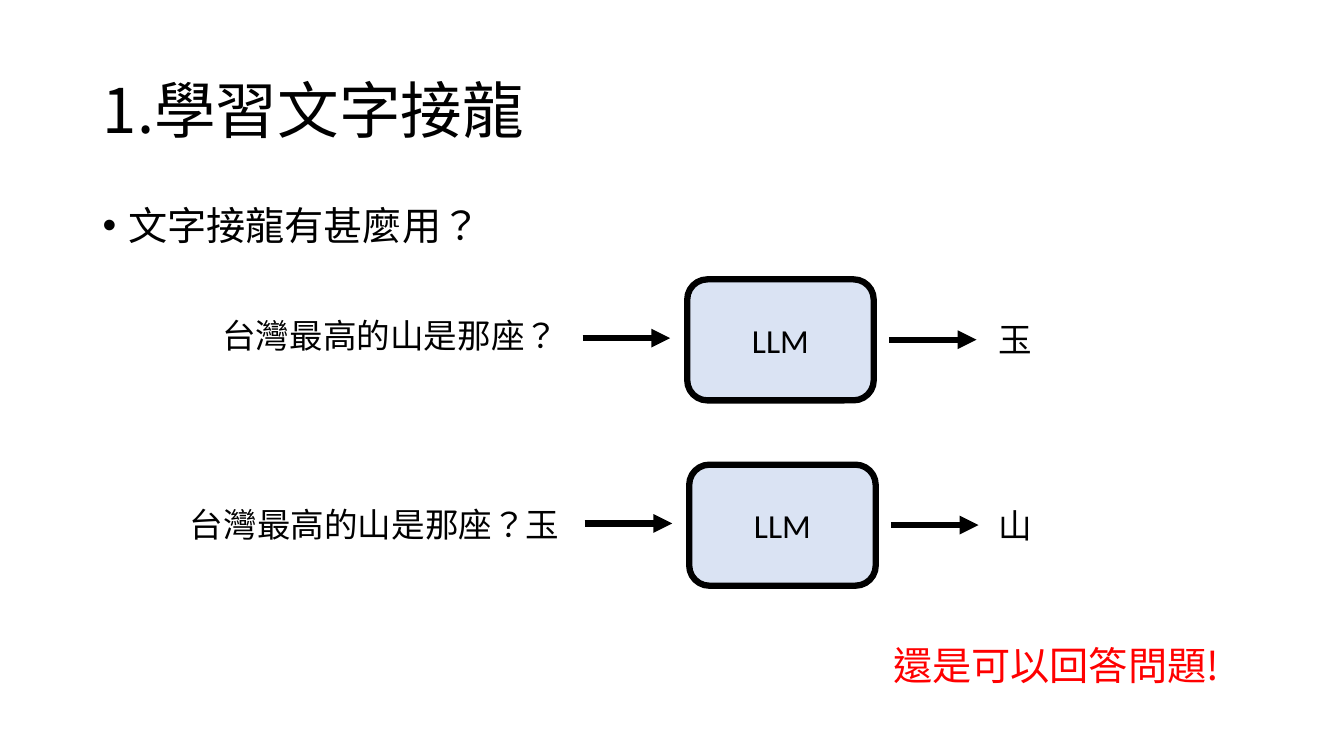
from lxml import etree
from pptx import Presentation
from pptx.dml.color import RGBColor
from pptx.enum.shapes import MSO_CONNECTOR, MSO_SHAPE
from pptx.enum.text import MSO_ANCHOR, MSO_AUTO_SIZE, PP_ALIGN
from pptx.oxml.ns import qn
from pptx.util import Cm, Pt

BLACK = RGBColor(0x00, 0x00, 0x00)
RED = RGBColor(0xFF, 0x00, 0x00)
PALE_BLUE = RGBColor(0xDA, 0xE3, 0xF3)
LATIN_FONT = "Calibri"
CJK_FONT = "Noto Sans CJK SC"
LEFT, CENTER, RIGHT = PP_ALIGN.LEFT, PP_ALIGN.CENTER, PP_ALIGN.RIGHT
TOP, MIDDLE = MSO_ANCHOR.TOP, MSO_ANCHOR.MIDDLE
STRAIGHT = MSO_CONNECTOR.STRAIGHT
ROUNDED = MSO_SHAPE.ROUNDED_RECTANGLE
NO_AUTOFIT = MSO_AUTO_SIZE.NONE


def write_text(shape, text, size=24, font=LATIN_FONT, color=BLACK,
               align=CENTER, anchor=TOP, line_spacing=1.0):
    frame = shape.text_frame
    frame.word_wrap = True
    frame.auto_size = NO_AUTOFIT
    frame.vertical_anchor = anchor
    paragraph = frame.paragraphs[0]
    paragraph.alignment = align
    paragraph.line_spacing = line_spacing
    run = paragraph.add_run()
    run.text = text
    run.font.size = Pt(size)
    run.font.name = font
    run.font.color.rgb = color
    run.font._element.set("lang", "zh-TW")
    east_asian = etree.SubElement(run.font._element, qn("a:ea"))
    east_asian.set("typeface", CJK_FONT)
    return paragraph


def add_arrow(start, end, y):
    arrow = slide.shapes.add_connector(STRAIGHT, Cm(start), Cm(y), Cm(end), Cm(y))
    arrow.line.color.rgb = BLACK
    arrow.line.width = Pt(4.5)
    etree.SubElement(arrow.line._get_or_add_ln(), qn("a:tailEnd"), type="triangle")
    etree.SubElement(arrow._element.spPr, qn("a:effectLst"))


prs = Presentation()
prs.slide_width, prs.slide_height = Cm(33.87), Cm(19.05)
slide = prs.slides.add_slide(prs.slide_layouts[5])

title = slide.shapes.title
title.left, title.top, title.width, title.height = Cm(2.34), Cm(1.02), Cm(29.21), Cm(3.68)
write_text(title, "1.學習文字接龍", size=44, font=CJK_FONT, align=LEFT,
           anchor=MIDDLE, line_spacing=0.9)

question = slide.shapes.add_textbox(Cm(2.34), Cm(5.08), Cm(29.21), Cm(1.5))
bullet_line = write_text(question, "文字接龍有甚麼用？", size=28, font=CJK_FONT,
                         align=LEFT, line_spacing=0.9)
bullet_line.space_before = Pt(10)
bullet_format = bullet_line._p.get_or_add_pPr()
bullet_format.set("marL", str(Cm(0.64)))
bullet_format.set("indent", str(Cm(-0.64)))
etree.SubElement(bullet_format, qn("a:buFont"), typeface="Arial")
etree.SubElement(bullet_format, qn("a:buChar"), char="•")

# Each step: prompt, prompt left and top, next character, model left and top
steps = [
    ("台灣最高的山是那座？", 4.78, 7.8, "玉", 17.32, 7.04),
    ("台灣最高的山是那座？玉", 4.39, 12.57, "山", 17.37, 11.71),
]
for prompt, prompt_left, prompt_top, next_character, left, top in steps:
    model = slide.shapes.add_shape(ROUNDED, Cm(left), Cm(top), Cm(4.7), Cm(3.05))
    model.shadow.inherit = False
    model.fill.solid()
    model.fill.fore_color.rgb = PALE_BLUE
    model.line.color.rgb = BLACK
    model.line.width = Pt(4.5)
    write_text(model, "LLM", anchor=MIDDLE)

    prompt_box = slide.shapes.add_textbox(Cm(prompt_left), Cm(prompt_top), Cm(10.11), Cm(1.27))
    write_text(prompt_box, prompt)
    answer_box = slide.shapes.add_textbox(Cm(23.24), Cm(top + 0.88), Cm(4.7), Cm(1.27))
    write_text(answer_box, next_character)

    add_arrow(left - 2.64, left - 0.43, top + 1.48)
    add_arrow(left + 5.08, left + 7.29, top + 1.52)

conclusion = slide.shapes.add_textbox(Cm(19.74), Cm(16.03), Cm(11.23), Cm(1.45))
write_text(conclusion, "還是可以回答問題!", size=28, font=CJK_FONT, color=RED, align=RIGHT)

prs.save("out.pptx")
